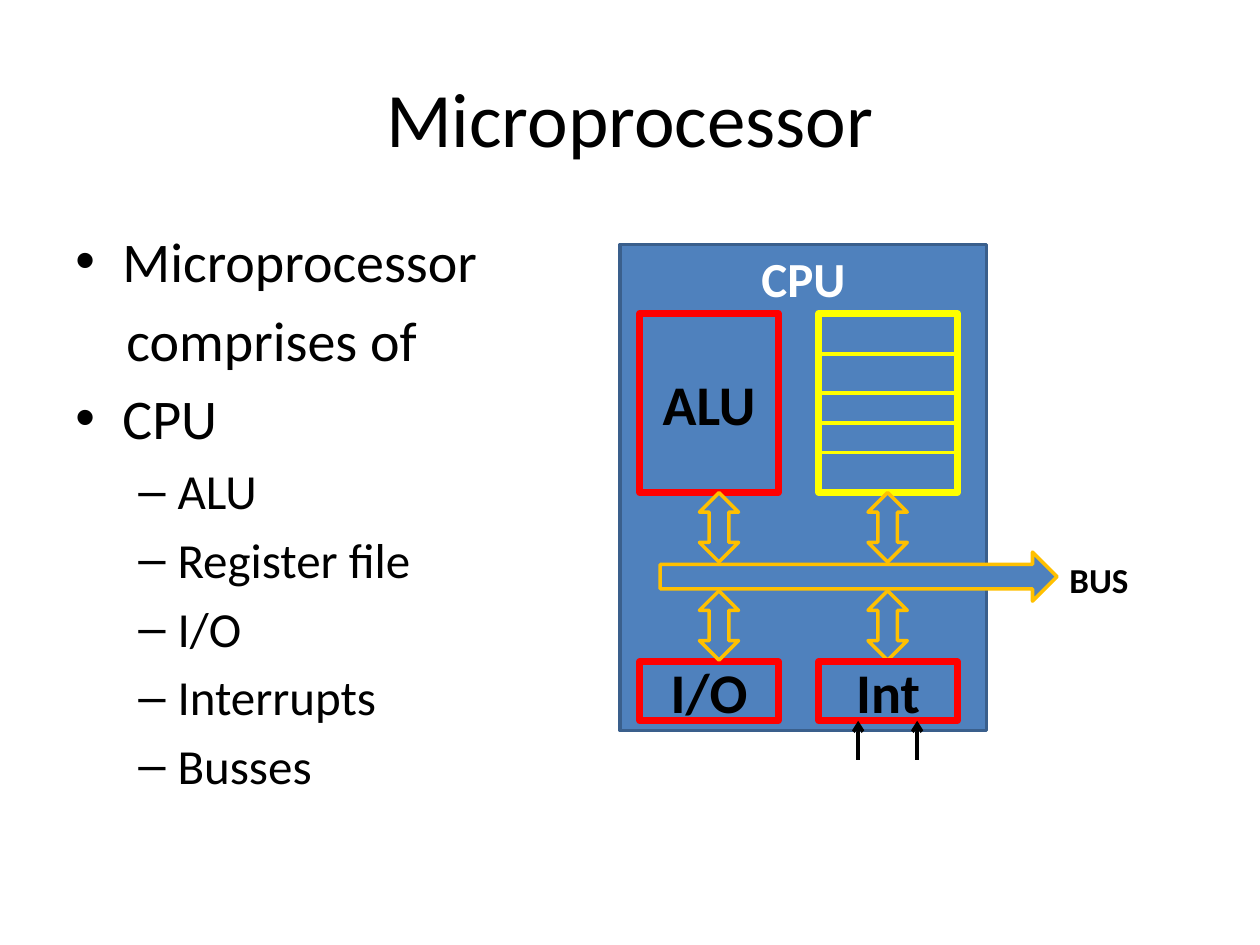
"""Build the Microprocessor slide: component list and CPU block diagram."""
from lxml import etree
from pptx import Presentation
from pptx import util as u
from pptx.dml.color import RGBColor
from pptx.enum import shapes, text
from pptx.oxml.ns import qn

BLUE = RGBColor(0x4F, 0x81, 0xBD)
DARK_BLUE = RGBColor(0x3A, 0x5F, 0x8C)
RED = RGBColor(0xFF, 0x00, 0x00)
YELLOW = RGBColor(0xFF, 0xFF, 0x00)
AMBER = RGBColor(0xFF, 0xC0, 0x00)
BLACK = RGBColor(0x00, 0x00, 0x00)
WHITE = RGBColor(0xFF, 0xFF, 0xFF)

RECTANGLE = shapes.MSO_SHAPE.RECTANGLE
UP_DOWN = shapes.MSO_SHAPE.UP_DOWN_ARROW
RIGHT_ARROW = shapes.MSO_SHAPE.RIGHT_ARROW
MIDDLE = text.MSO_ANCHOR.MIDDLE
TOP = text.MSO_ANCHOR.TOP


def write_text(paragraph, content, size=32, bold=False, color=BLACK,
               align=text.PP_ALIGN.CENTER):
    run = paragraph.add_run()
    run.text = content
    run.font.name = "Calibri"
    run.font.size = u.Pt(size)
    run.font.bold = bold
    run.font.color.rgb = color
    paragraph.alignment = align


presentation = Presentation()
presentation.slide_width = u.Cm(25.4)
presentation.slide_height = u.Cm(19.05)
slide = presentation.slides.add_slide(presentation.slide_layouts[5])

title = slide.shapes.title
title.left, title.top, title.width, title.height = (
    u.Cm(value) for value in (1.27, 0.76, 22.86, 3.18))
title.text_frame.vertical_anchor = MIDDLE
write_text(title.text_frame.paragraphs[0], "Microprocessor", size=44)

component_list = slide.shapes.add_textbox(u.Cm(1.27), u.Cm(4.45), u.Cm(22.86), u.Cm(12.57))
frame = component_list.text_frame
frame.word_wrap = True
entries = [("Microprocessor", 32, "•", 0.95, -0.95),
           ("comprises of", 32, None, 1.03, 0),
           ("CPU", 32, "•", 0.95, -0.95)]
entries += [(name, 28, "–", 2.06, -0.79)
            for name in ("ALU", "Register file", "I/O", "Interrupts", "Busses")]
for index, (content, size, bullet, margin, indent) in enumerate(entries):
    paragraph = frame.add_paragraph() if index else frame.paragraphs[0]
    write_text(paragraph, content, size=size, align=text.PP_ALIGN.LEFT)
    paragraph.level = 1 if size == 28 else 0
    paragraph.space_before = u.Pt(size * 0.2)
    properties = paragraph._p.get_or_add_pPr()
    properties.set("marL", str(u.Cm(margin)))
    properties.set("indent", str(u.Cm(indent)))
    if bullet:
        etree.SubElement(properties, qn("a:buFont")).set("typeface", "Arial")
        etree.SubElement(properties, qn("a:buChar")).set("char", bullet)

left_column, right_column, block_width = 12.9, 16.51, 2.79
left_arrow, right_arrow = 14.1, 17.5
upper_arrow, lower_arrow = 9.93, 11.91

blocks = [
    (RECTANGLE, 12.5, 4.93, 7.39, 9.8, DARK_BLUE, 2, "CPU", 28, WHITE, TOP),
    (RECTANGLE, left_column, 6.32, block_width, 3.61, RED, 4, "ALU", 32, BLACK, MIDDLE),
    (RECTANGLE, right_column, 6.32, block_width, 3.61, YELLOW, 4, "", 32, BLACK, MIDDLE),
    (RECTANGLE, left_column, 13.34, block_width, 1.19, RED, 4, "I/O", 32, BLACK, MIDDLE),
    (RIGHT_ARROW, 13.31, 11.13, 8, 0.99, AMBER, 2, "", 32, BLACK, MIDDLE),
]
blocks += [(UP_DOWN, left, top, 0.79, 1.4, AMBER, 2, "", 32, BLACK, MIDDLE)
           for top in (upper_arrow, lower_arrow) for left in (left_arrow, right_arrow)]
blocks.append((RECTANGLE, right_column, 13.34, block_width, 1.19, RED, 4, "Int", 32, BLACK, MIDDLE))

for kind, left, top, width, height, line, weight, label, size, color, anchor in blocks:
    shape = slide.shapes.add_shape(kind, u.Cm(left), u.Cm(top), u.Cm(width), u.Cm(height))
    shape.shadow.inherit = False
    shape.fill.solid()
    shape.fill.fore_color.rgb = BLUE
    shape.line.color.rgb = line
    shape.line.width = u.Pt(weight)
    if label:
        shape.text_frame.vertical_anchor = anchor
        if anchor == TOP:
            shape.text_frame.margin_top = u.Cm(0.08)
        write_text(shape.text_frame.paragraphs[0], label, size=size, bold=True, color=color)

bus_label = slide.shapes.add_textbox(u.Cm(21.31), u.Cm(11.13), u.Cm(1.8), u.Cm(1.12))
bus_label.text_frame.word_wrap = False
write_text(bus_label.text_frame.paragraphs[0], "BUS", size=20, bold=True,
           align=text.PP_ALIGN.LEFT)

lines = [(right_column, y, right_column + block_width, y, YELLOW, False)
         for y in (7.14, 7.92, 8.53, 9.12)]
lines += [(x, 15.32, x, 14.53, BLACK, True) for x in (17.3, 18.49)]
for start_x, start_y, end_x, end_y, color, arrowhead in lines:
    connector = slide.shapes.add_connector(
        shapes.MSO_CONNECTOR.STRAIGHT, u.Cm(start_x), u.Cm(start_y), u.Cm(end_x), u.Cm(end_y))
    connector.line.color.rgb = color
    connector.line.width = u.Pt(2)
    if arrowhead:
        etree.SubElement(connector.line._get_or_add_ln(), qn("a:tailEnd")).set("type", "arrow")
    etree.SubElement(connector._element.spPr, qn("a:effectLst"))

presentation.save("out.pptx")
